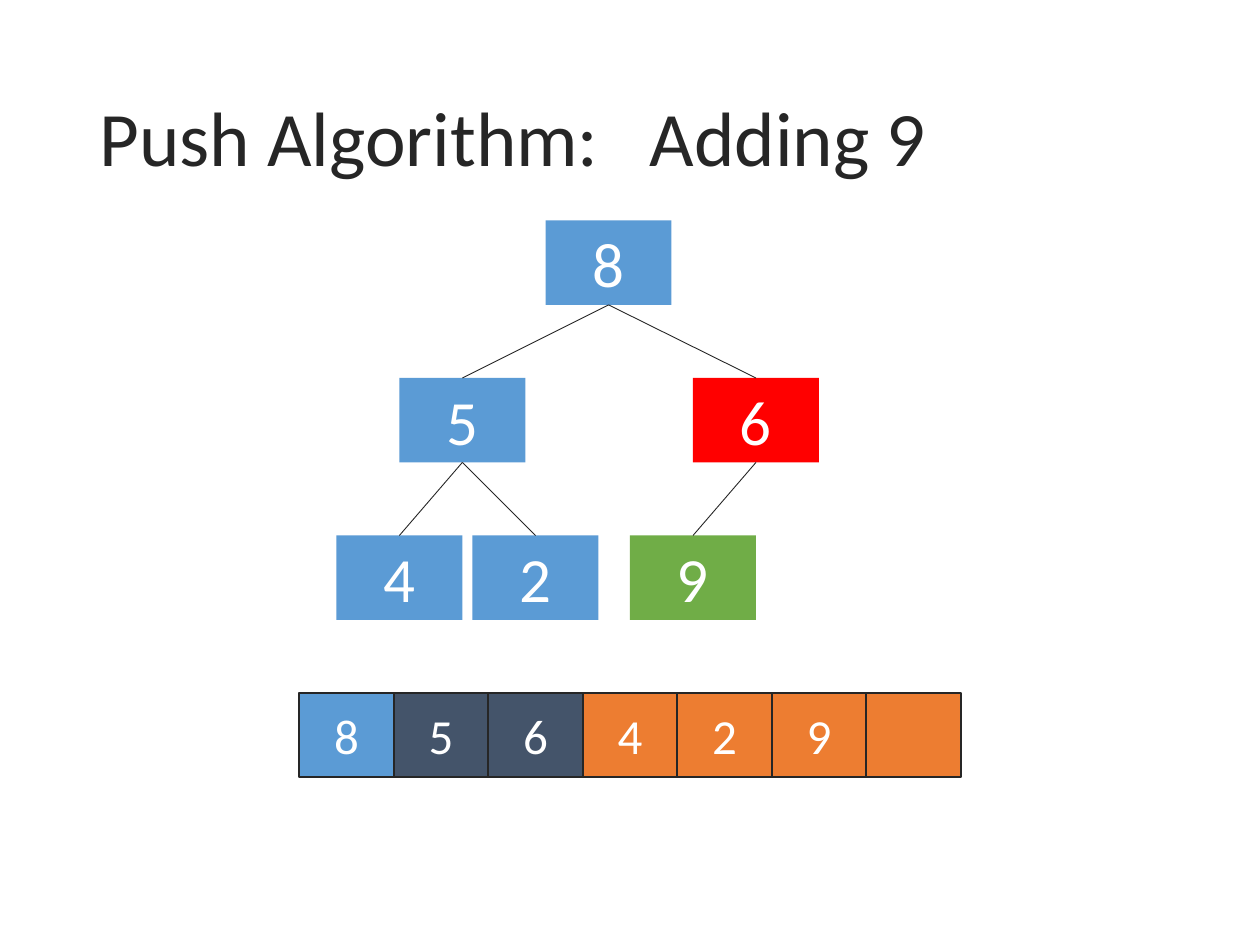
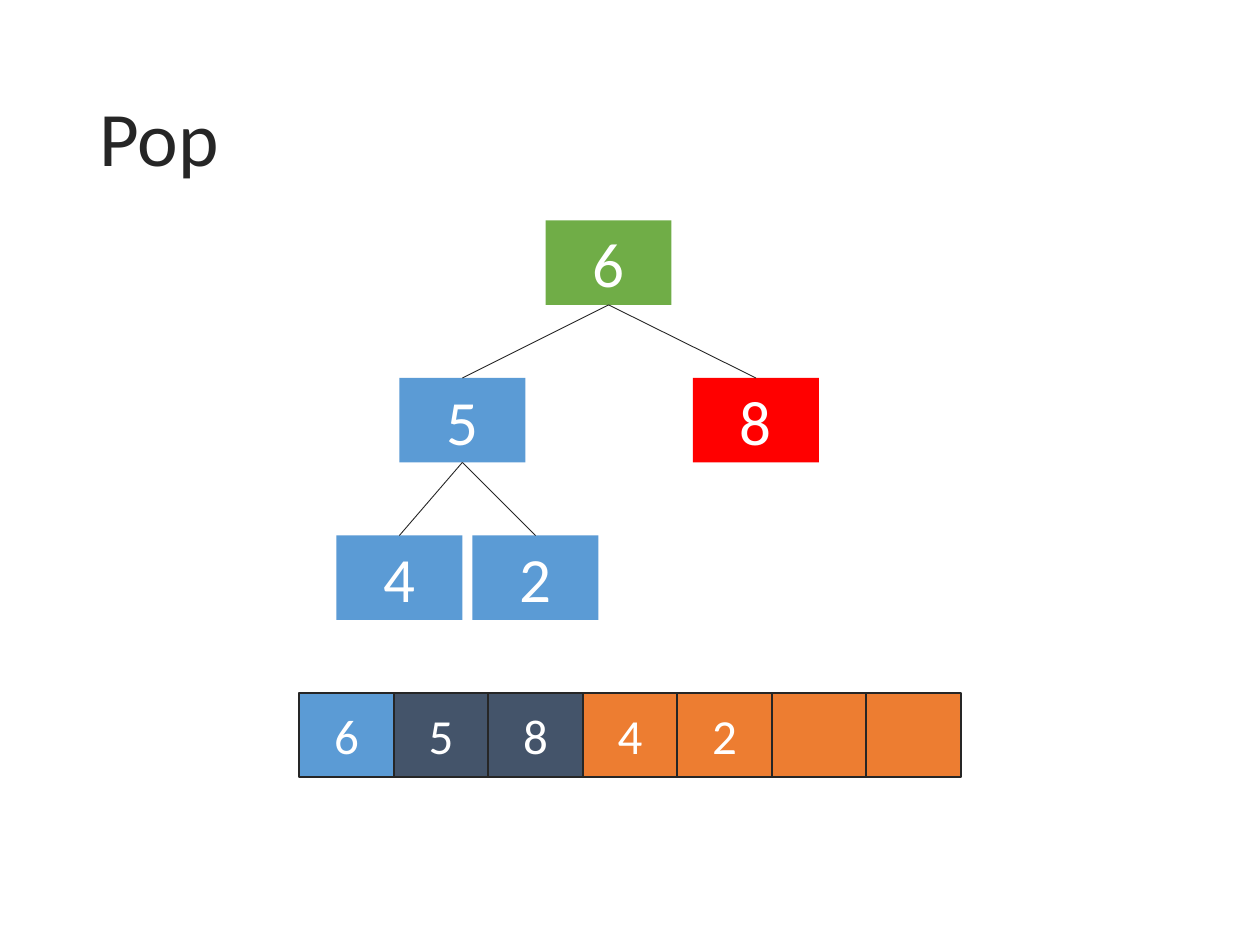
from lxml import etree
from pptx import Presentation
from pptx import util as u
from pptx.dml.color import RGBColor
from pptx.enum import shapes, text
from pptx.oxml import ns

HUES = {
    "ink": "262626",
    "white": "FFFFFF",
    "blue": "5B9BD5",
    "slate": "44546A",
    "orange": "ED7D31",
    "red": "FF0000",
    "green": "70AD47",
}
FONT = "Calibri"
LEFTS = [4.33, 3.17, 5.5, 2.67, 3.75, 5]
LEVELS = ["blue", "slate", "orange"]
SLOTS = 7
HIGH = 0.67


def hue(name):
    return RGBColor.from_string(HUES[name])


def level(index):
    return (index + 1).bit_length() - 1


def write(frame, words, size, color="white", align=None, space=None, tab=None):
    frame.word_wrap = True
    frame.vertical_anchor = text.MSO_ANCHOR.MIDDLE
    para = frame.paragraphs[0]
    para.text = words
    para.alignment = align
    para.line_spacing = space
    if tab:
        stops = etree.SubElement(para._p.get_or_add_pPr(), ns.qn("a:tabLst"))
        etree.SubElement(stops, ns.qn("a:tab"), pos=str(u.Inches(tab)), algn="l")
    font = para.font
    font.name = FONT
    font.size = u.Pt(size)
    font.color.rgb = hue(color)


class Deck:
    def __init__(self):
        self.prs = Presentation()
        self.prs.slide_width = u.Inches(10)
        self.prs.slide_height = u.Inches(7.5)
        self.slide = None

    def start(self, title, tab=None):
        self.slide = self.prs.slides.add_slide(self.prs.slide_layouts[6])
        box = self.slide.shapes.add_textbox(
            u.Inches(0.69), u.Inches(0.4), u.Inches(8.62), u.Inches(1.45))
        write(box.text_frame, title, 44, color="ink", space=0.9, tab=tab)

    def box(self, value, left, top, width, fill, size, edge=False, home=None):
        home = home or self.slide
        shape = home.shapes.add_shape(
            shapes.MSO_SHAPE.RECTANGLE, u.Inches(left), u.Inches(top),
            u.Inches(width), u.Inches(HIGH))
        shape.shadow.inherit = False
        shape.fill.solid()
        shape.fill.fore_color.rgb = hue(fill)
        if edge:
            shape.line.color.rgb = hue("ink")
            shape.line.width = u.Pt(1)
        else:
            shape.line.fill.background()
        if value:
            write(shape.text_frame, value, size, align=text.PP_ALIGN.CENTER)
        return shape

    def link(self, child, parent):
        line = self.slide.shapes.add_connector(
            shapes.MSO_CONNECTOR.STRAIGHT, 0, 0, 0, 0)
        line.begin_connect(child, 0)
        line.end_connect(parent, 2)
        line.line.color.rgb = hue("ink")
        line.line.width = u.Pt(0.5)
        etree.SubElement(line._element.spPr, ns.qn("a:effectLst"))

    def tree(self, heap, marks):
        nodes = []
        for i, (value, left) in enumerate(zip(heap, LEFTS)):
            top = 1.75 + 1.25 * level(i)
            nodes.append(self.box(value, left, top, 1, marks.get(i, "blue"), 36))
            if i:
                self.link(nodes[i], nodes[(i - 1) // 2])

    def array(self, heap, group=False):
        home = self.slide.shapes.add_group_shape() if group else None
        for i, value in enumerate(heap.ljust(SLOTS)):
            self.box(value.strip(), 2.375 + 0.75 * i, 5.5, 0.75,
                     LEVELS[level(i)], 28, edge=True, home=home)


def main():
    deck = Deck()

    deck.start("Push Algorithm:\tAdding 9", tab=4.37)
    deck.tree("856429", {2: "red", 5: "green"})
    deck.array("856429")

    deck.start("Pop")
    deck.tree("65842", {0: "green", 2: "red"})
    deck.array("65842", group=True)

    deck.prs.save("out.pptx")


if __name__ == "__main__":
    main()
